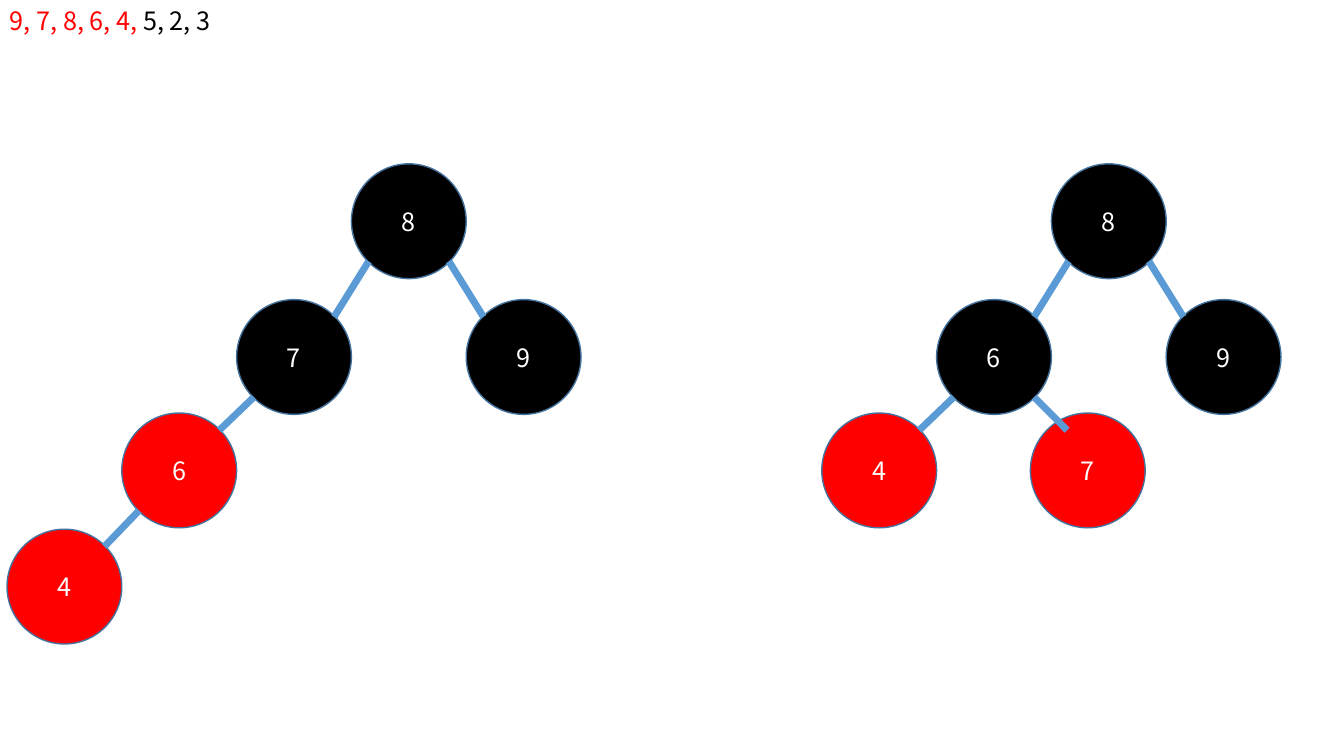
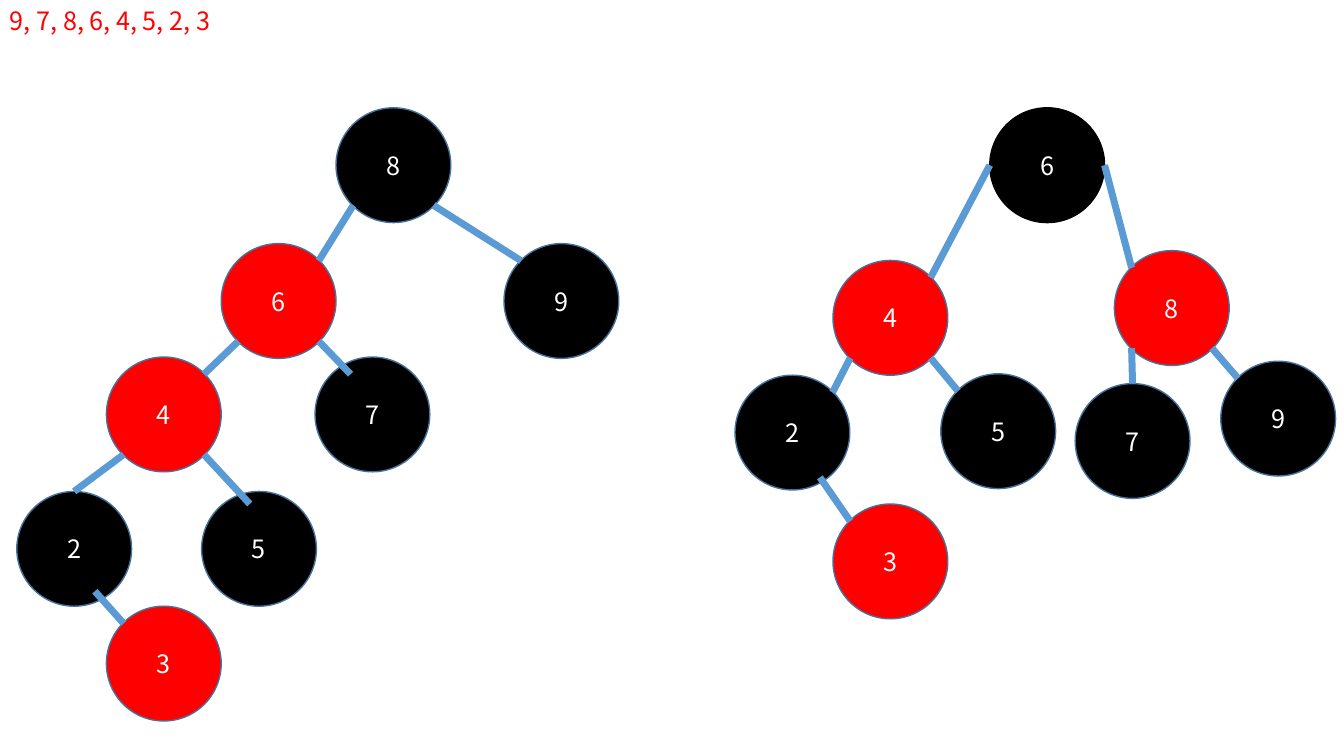
from dataclasses import dataclass

from pptx import Presentation
from pptx.dml.color import RGBColor
from pptx.enum import shapes, text
from pptx.oxml.ns import qn
from pptx.util import Pt

FONT = "Noto Sans CJK KR"
BLACK, RED, WHITE = "000000", "FF0000", "FFFFFF"
OUTLINE, EDGE = "43739E", "5B9BD5"
DIAMETER = 82
SITES = {
    "N": (0.5, 0), "W": (0, 0.5), "E": (1, 0.5),
    "NW": (0.15, 0.15), "NE": (0.85, 0.15),
    "SW": (0.15, 0.85), "SE": (0.85, 0.85),
}


@dataclass
class Node:
    """A tree node, placed from the tree's corner, and the edge to its parent."""
    label: str
    x: float
    y: float
    fill: str = BLACK
    parent: str = ""
    start: object = "SW"
    end: object = "NE"
    outline: str = OUTLINE


def right(label, x, y, fill, parent, start="SE", end="NW"):
    """Return a node that hangs to the right of its parent."""
    return Node(label, x, y, fill, parent, start, end)


SLIDES = [
    {
        "heading": [("9, 7, 8, 6, 4,", RED), (" 5, 2, 3", BLACK)],
        "trees": [
            (5, 117, [
                Node("8", 246, 0),
                Node("7", 164, 97, BLACK, "8"),
                right("9", 328, 97, BLACK, "8"),
                Node("6", 82, 178, RED, "7"),
                Node("4", 0, 261, RED, "6"),
            ]),
            (587, 117, [
                Node("8", 164, 0),
                Node("6", 82, 97, BLACK, "8"),
                right("9", 246, 97, BLACK, "8"),
                Node("4", 0, 178, RED, "6"),
                right("7", 149, 178, RED, "6", end=(0.32, 0.15)),
            ]),
        ],
    },
    {
        "heading": [("9, 7, 8, 6, 4, 5, 2, 3", RED)],
        "trees": [
            (12, 77, [
                Node("8", 228, 0),
                Node("6", 146, 97, RED, "8"),
                right("9", 348, 97, BLACK, "8"),
                Node("4", 64, 178, RED, "6"),
                right("7", 213, 178, BLACK, "6", end=(0.31, 0.15)),
                right("5", 132, 274, BLACK, "4", end=(0.42, 0.11)),
                Node("2", 0, 274, BLACK, "4", end="N"),
                right("3", 64, 356, RED, "2", start=(0.68, 0.87)),
            ]),
            (525, 77, [
                Node("6", 182, 0, outline=BLACK),
                right("8", 271, 102, RED, "6", start="E"),
                right("9", 347, 181, BLACK, "8"),
                Node("7", 243, 197, BLACK, "8", end="N"),
                Node("4", 70, 109, RED, "6", start="W"),
                Node("2", 0, 191, BLACK, "4"),
                right("5", 147, 190, BLACK, "4"),
                right("3", 70, 283, RED, "2", start=(0.74, 0.89)),
            ]),
        ],
    },
]


def colour(target, value):
    """Give a font, fill or line one solid colour from a hex string."""
    if hasattr(target, "solid"):
        target.solid()
        target.fore_color.rgb = RGBColor.from_string(value)
    else:
        target.color.rgb = RGBColor.from_string(value)


def write(para, content, value):
    """Add a run in the shared text style."""
    span = para.add_run()
    span.text = content
    for name, setting in {"name": FONT, "size": Pt(18)}.items():
        setattr(span.font, name, setting)
    colour(span.font, value)


def add_heading(page, left, top, spans):
    """Write the key sequence, one coloured run after another."""
    box = page.shapes.add_textbox(Pt(left), Pt(top), Pt(426), Pt(29))
    frame = box.text_frame
    settings = {"word_wrap": True, "auto_size": text.MSO_AUTO_SIZE.SHAPE_TO_FIT_TEXT}
    for name, setting in settings.items():
        setattr(frame, name, setting)
    for content, value in spans:
        write(frame.paragraphs[0], content, value)


def add_node(page, left, top, node):
    """Draw one node as a labelled circle."""
    circle = page.shapes.add_shape(
        shapes.MSO_SHAPE.OVAL, Pt(left + node.x), Pt(top + node.y),
        Pt(DIAMETER), Pt(DIAMETER))
    circle.shadow.inherit = False
    colour(circle.fill, node.fill)
    colour(circle.line, node.outline)
    circle.line.width = Pt(1)
    circle.text_frame.vertical_anchor = text.MSO_ANCHOR.MIDDLE
    para = circle.text_frame.paragraphs[0]
    para.alignment = text.PP_ALIGN.CENTER
    write(para, node.label, WHITE)


def site_point(left, top, node, site):
    """Return the place of a named site or a fraction of the circle's box."""
    across, down = SITES.get(site, site)
    return (Pt(left + node.x + across * DIAMETER),
            Pt(top + node.y + down * DIAMETER))


def add_edge(page, left, top, parent, child):
    """Draw the line from a parent to its child."""
    line = page.shapes.add_connector(
        shapes.MSO_CONNECTOR.STRAIGHT,
        *site_point(left, top, parent, child.start),
        *site_point(left, top, child, child.end))
    colour(line.line, EDGE)
    line.line.width = Pt(5)
    properties = line._element.spPr
    properties.append(properties.makeelement(qn("a:effectLst"), {}))


def add_tree(page, left, top, nodes):
    """Draw a red-black tree with its edges above its nodes."""
    by_label = {node.label: node for node in nodes}
    for node in nodes:
        add_node(page, left, top, node)
    for node in nodes:
        if node.parent:
            add_edge(page, left, top, by_label[node.parent], node)


def add_page(deck, heading, trees):
    """Add a slide with its trees and heading."""
    page = deck.slides.add_slide(deck.slide_layouts[6])
    for left, top, nodes in trees:
        add_tree(page, left, top, nodes)
    add_heading(page, 0, 0, heading)


def main():
    """Build and save the deck."""
    deck = Presentation()
    deck.slide_width, deck.slide_height = Pt(960), Pt(540)
    for content in SLIDES:
        add_page(deck, **content)
    deck.save("out.pptx")


if __name__ == "__main__":
    main()
